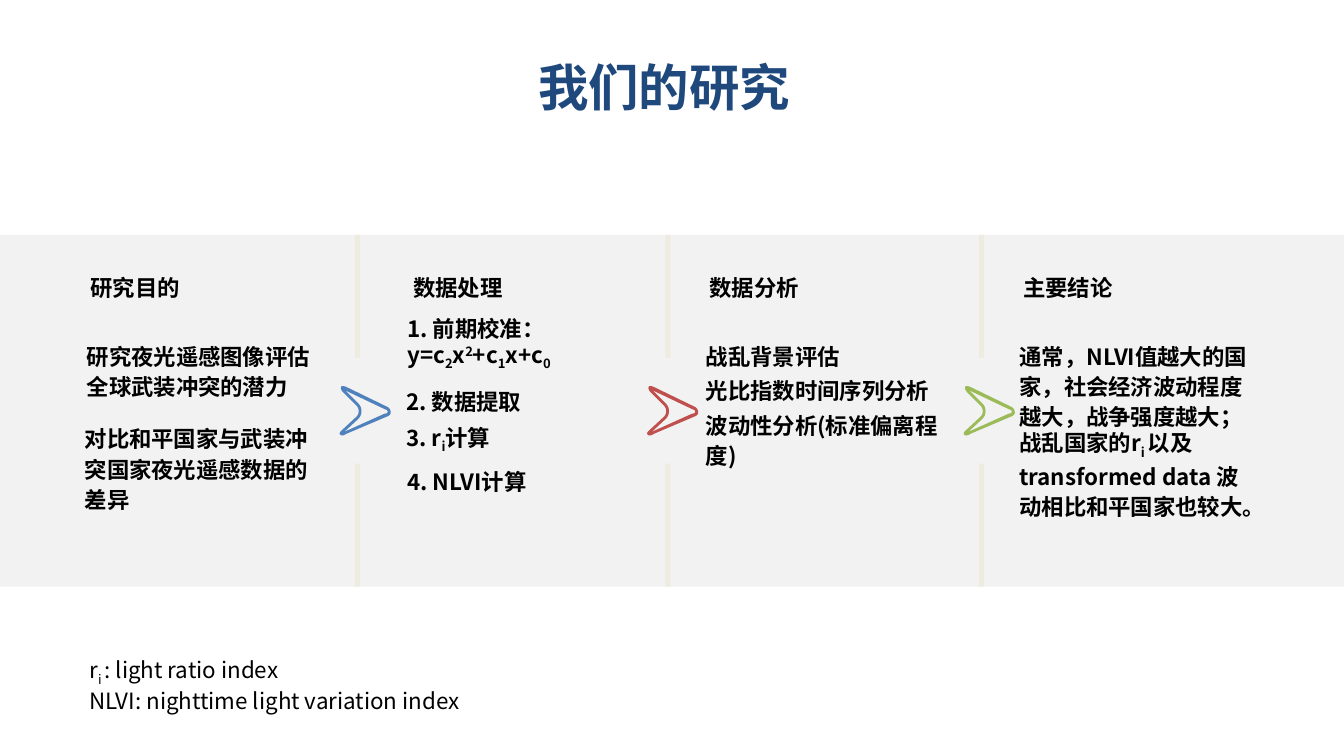
import math

from lxml import etree
from pptx import Presentation
from pptx.dml.color import RGBColor
from pptx.enum.shapes import MSO_SHAPE
from pptx.enum.text import MSO_ANCHOR, MSO_AUTO_SIZE, PP_ALIGN
from pptx.oxml.ns import qn
from pptx.util import Inches, Pt

RECTANGLE = MSO_SHAPE.RECTANGLE
LEFT, CENTER = PP_ALIGN.LEFT, PP_ALIGN.CENTER
TOP, MIDDLE = MSO_ANCHOR.TOP, MSO_ANCHOR.MIDDLE
GROW = MSO_AUTO_SIZE.SHAPE_TO_FIT_TEXT

FONT = "Noto Sans CJK SC"
BLACK, TITLE_BLUE, BAND_GREY, DIVIDER_BEIGE = "000000", "1F497D", "F2F2F2", "EEECE1"
SUB, SUPER = -25000, 30000

BAND_TOP, BAND_HEIGHT = 2.33, 3.49
DIVIDER_WIDTH, DIVIDER_HEIGHT = 0.05, 1.22
ARROW_Y, ARROW_TURN = 4.07, 46.2
CURVE_STEPS = 8

# Each step is one point for a line or three points for a Bezier curve.
ARROW_OUTLINES = [
    [[(0.29, 0.03)], [(-0.11, 0.21)], [(0.03, 0.08)],
     [(0.07, 0.04), (0.07, -0.03), (0.03, -0.07)],
     [(-0.1, -0.2)], [(0.3, -0.01)],
     [(0.31, -0.01), (0.32, 0), (0.32, 0.01)],
     [(0.32, 0.02), (0.31, 0.03), (0.29, 0.03)]],
    [[(0.35, 0.02)], [(0.35, 0), (0.34, -0.03), (0.31, -0.04)],
     [(-0.08, -0.23)], [(-0.1, -0.24), (-0.13, -0.25), (-0.14, -0.24)],
     [(-0.15, -0.22), (-0.14, -0.2), (-0.12, -0.18)],
     [(0.01, -0.05)], [(0.04, -0.02), (0.04, 0.03), (0.01, 0.06)],
     [(-0.13, 0.19)], [(-0.14, 0.2), (-0.17, 0.22), (-0.15, 0.24)],
     [(-0.14, 0.25), (-0.12, 0.25), (-0.09, 0.23)],
     [(0.31, 0.06)], [(0.34, 0.05), (0.35, 0.03), (0.35, 0.02)]],
]

DIVIDERS = [(9.71, 9.71, "9BBB59"), (6.6, 6.57, "C0504D"), (3.52, 3.52, "4F81BD")]

HEADINGS = [(0.8, "研究目的"), (4, "数据处理"), (6.94, "数据分析"), (10.05, "主要结论")]

BODIES = [
    (0.74, 3.31, 0.74, ["研究夜光遥感图像评估全球武装冲突的潜力"]),
    (0.72, 4.13, 1.05, ["对比和平国家与武装冲突国家夜光遥感数据的差异"]),
    (3.92, 3.03, 0.74, [["1. 前期校准：y=c", ("2", SUB), "x", ("2", SUPER),
                         "+c", ("1", SUB), "x+c", ("0", SUB)]]),
    (3.91, 3.76, 0.43, ["2. 数据提取"]),
    (3.91, 4.15, 0.43, [["3. r", ("i", SUB), "计算"]]),
    (3.92, 4.55, 0.43, ["4. NLVI计算"]),
    (6.88, 3.31, 1.46, ["战乱背景评估", "光比指数时间序列分析",
                        "波动性分析(标准偏离程度)"]),
    (9.99, 3.31, 1.97, [["通常，NLVI值越大的国家，社会经济波动程度越大，"
                         "战争强度越大；战乱国家的r", ("i ", SUB),
                         "以及transformed data 波动相比和平国家也较大。"]]),
]

LEGEND = [["r", ("i ", SUB), ": light ratio index "],
          "NLVI: nighttime light variation index "]


def rgb(value):
    return RGBColor.from_string(value)


def paint(shape, color):
    shape.shadow.inherit = False
    shape.fill.solid()
    shape.fill.fore_color.rgb = rgb(color)
    shape.line.fill.background()


def add_block(shapes, left, top, width, height, color):
    block = shapes.add_shape(RECTANGLE, Inches(left), Inches(top),
                             Inches(width), Inches(height))
    paint(block, color)


def add_text(slide, left, top, width, height, paragraphs, size=16, color=BLACK,
             bold=True, align=LEFT, anchor=TOP, wrap=False, inset=(0.1, 0.05),
             leading=None, before=None):
    box = slide.shapes.add_textbox(Inches(left), Inches(top),
                                   Inches(width), Inches(height))
    frame = box.text_frame
    frame.word_wrap = wrap
    frame.auto_size = GROW
    frame.vertical_anchor = anchor
    frame.margin_left = frame.margin_right = Inches(inset[0])
    frame.margin_top = frame.margin_bottom = Inches(inset[1])
    for index, parts in enumerate(paragraphs):
        paragraph = frame.add_paragraph() if index else frame.paragraphs[0]
        paragraph.alignment = align
        if leading:
            paragraph.line_spacing = Pt(leading)
        if before:
            paragraph.space_before = Pt(before)
        for part in [parts] if isinstance(parts, str) else parts:
            words, baseline = (part, 0) if isinstance(part, str) else part
            run = paragraph.add_run()
            run.text = words
            run.font.size = Pt(size)
            run.font.bold = bold
            run.font.color.rgb = rgb(color)
            run.font.name = FONT
            properties = run.font._element
            etree.SubElement(properties, qn("a:ea")).set("typeface", FONT)
            if baseline:
                properties.set("baseline", str(baseline))


def curve_points(start, control_1, control_2, end):
    for step in range(1, CURVE_STEPS + 1):
        t = step / CURVE_STEPS
        weights = ((1 - t) ** 3, 3 * t * (1 - t) ** 2, 3 * t * t * (1 - t), t ** 3)
        corners = (start, control_1, control_2, end)
        yield tuple(sum(w * c[axis] for w, c in zip(weights, corners))
                    for axis in (0, 1))


def trace(outline):
    points = []
    for step in outline:
        points += step if len(step) == 1 else curve_points(points[-1], *step)
    return points


def add_arrow(shapes, center_x, color):
    cosine = math.cos(math.radians(ARROW_TURN))
    sine = math.sin(math.radians(ARROW_TURN))
    contours = [[(Inches(center_x + x * cosine + y * sine),
                  Inches(ARROW_Y - x * sine + y * cosine))
                 for x, y in trace(outline)] for outline in ARROW_OUTLINES]
    builder = shapes.build_freeform(*contours[0][0])
    for index, contour in enumerate(contours):
        if index:
            builder.move_to(*contour[0])
        builder.add_line_segments(contour[1:], close=True)
    arrow = builder.convert_to_shape()
    arrow.rotation = ARROW_TURN
    paint(arrow, color)


def add_divider(slide, left, arrow_x, color):
    shapes = slide.shapes.add_group_shape().shapes
    for top in (BAND_TOP + BAND_HEIGHT - DIVIDER_HEIGHT, BAND_TOP):
        add_block(shapes, left, top, DIVIDER_WIDTH, DIVIDER_HEIGHT, DIVIDER_BEIGE)
    add_arrow(shapes, arrow_x, color)


def main():
    deck = Presentation()
    deck.slide_width, deck.slide_height = Inches(13.33), Inches(7.5)
    slide = deck.slides.add_slide(deck.slide_layouts[6])

    add_text(slide, 5.09, 0.41, 2.88, 0.8, [" 我们的研究"], size=36,
             color=TITLE_BLUE, align=CENTER, leading=50)
    add_block(slide.shapes, 0, BAND_TOP, 13.33, BAND_HEIGHT, BAND_GREY)
    for divider in DIVIDERS:
        add_divider(slide, *divider)
    for left, heading in HEADINGS:
        add_text(slide, left, 2.67, 1.1, 0.37, [heading], anchor=MIDDLE)
    for left, top, height, paragraphs in BODIES:
        add_text(slide, left, top, 2.58, height, paragraphs, wrap=True,
                 inset=(0.12, 0.06), leading=21.5, before=3.2)
    add_text(slide, 0.79, 6.46, 4.14, 0.64, LEGEND, bold=False)

    deck.save("out.pptx")


main()
